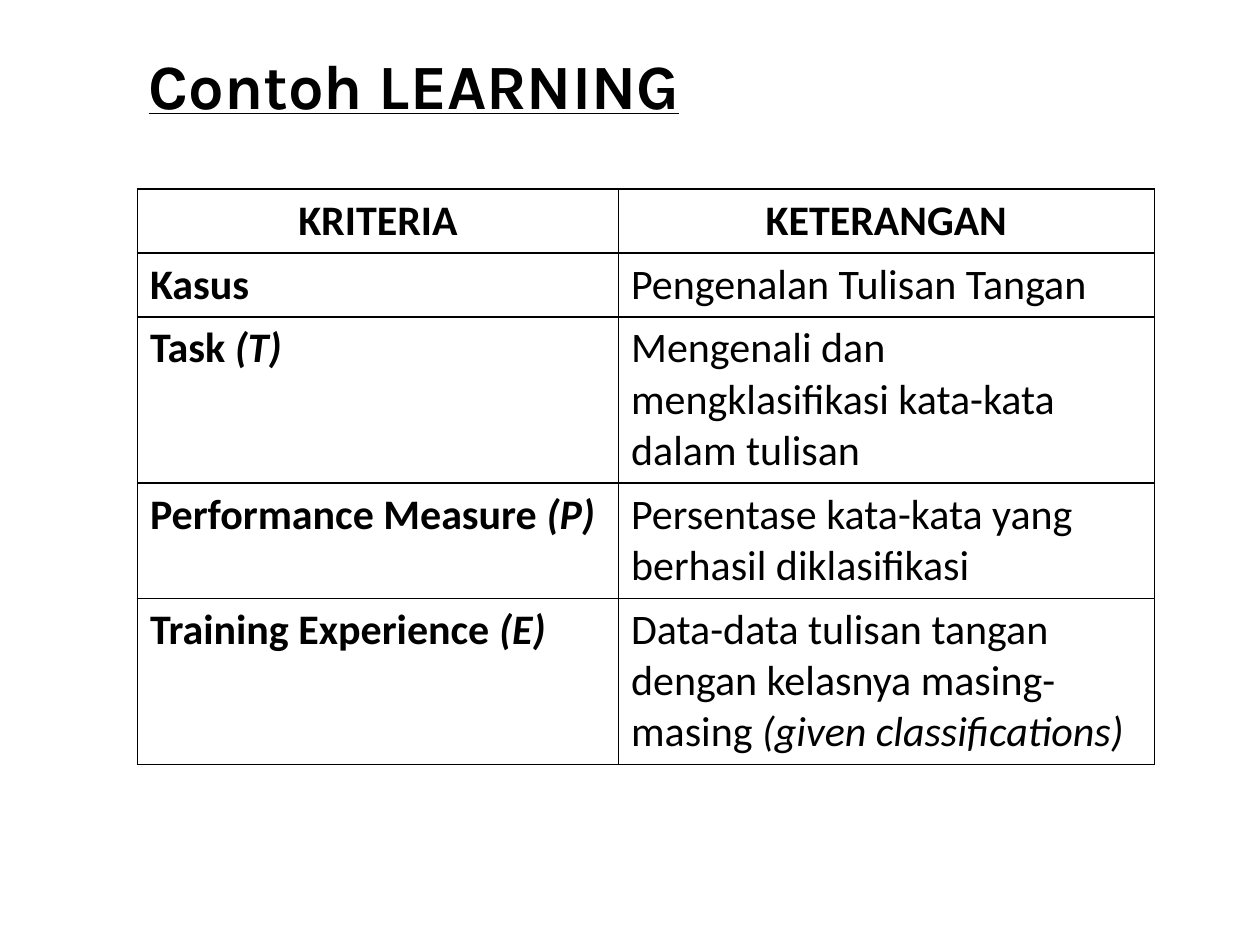
import pptx
import pptx.util
import pptx.dml.color
import pptx.enum.text
import pptx.oxml
import pptx.oxml.ns
from pptx.util import Cm

COLORS = {"ink": "000000", "paper": "FFFFFF"}
TITLE = "Contoh LEARNING"
HEADERS = ["KRITERIA", "KETERANGAN"]
# Each cell holds upright text and an italic ending.
ROWS = [
    [("Kasus", ""), ("Pengenalan Tulisan Tangan", "")],
    [("Task ", "(T)"), ("Mengenali dan mengklasifikasi kata-kata dalam tulisan", "")],
    [("Performance Measure ", "(P)"),
     ("Persentase kata-kata yang berhasil diklasifikasi", "")],
    [("Training Experience ", "(E)"),
     ("Data-data tulisan tangan dengan kelasnya masing-masing ",
      "(given classifications)")],
]
COLUMN_WIDTHS = [9.7, 10.8]
ROW_HEIGHT = 1.04


def color(name):
    return pptx.dml.color.RGBColor.from_string(COLORS[name])


def set_font(font, name, size, bold):
    font.name, font.size, font.bold = name, pptx.util.Pt(size), bold
    font.color.rgb = color("ink")


def add_borders(cell):
    properties = cell._tc.get_or_add_tcPr()
    for position, side in enumerate(("lnL", "lnR", "lnT", "lnB")):
        line = pptx.oxml.parse_xml(
            f'<a:{side} {pptx.oxml.ns.nsdecls("a")} w="12700"><a:solidFill>'
            f'<a:srgbClr val="{COLORS["ink"]}"/></a:solidFill></a:{side}>')
        properties.insert(position, line)


def fill_cell(cell, text, italic_text="", bold=False, centered=False):
    cell.fill.solid()
    cell.fill.fore_color.rgb = color("paper")
    add_borders(cell)
    para = cell.text_frame.paragraphs[0]
    set_font(para.font, "Calibri", 24, bold)
    if centered:
        para.alignment = pptx.enum.text.PP_ALIGN.CENTER
    for part, italic in ((text, False), (italic_text, True)):
        if part:
            span = para.add_run()
            span.text = part
            set_font(span.font, "Calibri", 24, bold)
            span.font.italic = italic


def add_title(slide):
    title = slide.shapes.title
    title.left, title.top, title.width, title.height = (
        Cm(2.74), Cm(0.81), Cm(21.67), Cm(1.8))
    frame = title.text_frame
    frame.text = TITLE
    frame.word_wrap = True
    frame.auto_size = pptx.enum.text.MSO_AUTO_SIZE.NONE
    frame.vertical_anchor = pptx.enum.text.MSO_ANCHOR.TOP
    para = frame.paragraphs[0]
    para.alignment = pptx.enum.text.PP_ALIGN.LEFT
    set_font(para.font, "Karla", 36, True)
    para.font.underline = True


def add_criteria_table(slide):
    row_count = len(ROWS) + 1
    table = slide.shapes.add_table(
        row_count, len(HEADERS), Cm(2.77), Cm(3.81),
        Cm(sum(COLUMN_WIDTHS)), Cm(ROW_HEIGHT * row_count)).table
    table.first_row = table.horz_banding = False
    for column, width in zip(table.columns, COLUMN_WIDTHS):
        column.width = Cm(width)
    for index, header in enumerate(HEADERS):
        fill_cell(table.cell(0, index), header, bold=True, centered=True)
    for row_index, row in enumerate(ROWS, start=1):
        for index, (text, italic_text) in enumerate(row):
            fill_cell(table.cell(row_index, index), text, italic_text, bold=index == 0)


def main():
    deck = pptx.Presentation()
    deck.slide_width, deck.slide_height = Cm(25.4), Cm(19.05)
    slide = deck.slides.add_slide(deck.slide_layouts[5])
    add_title(slide)
    add_criteria_table(slide)
    deck.save("out.pptx")


if __name__ == "__main__":
    main()
